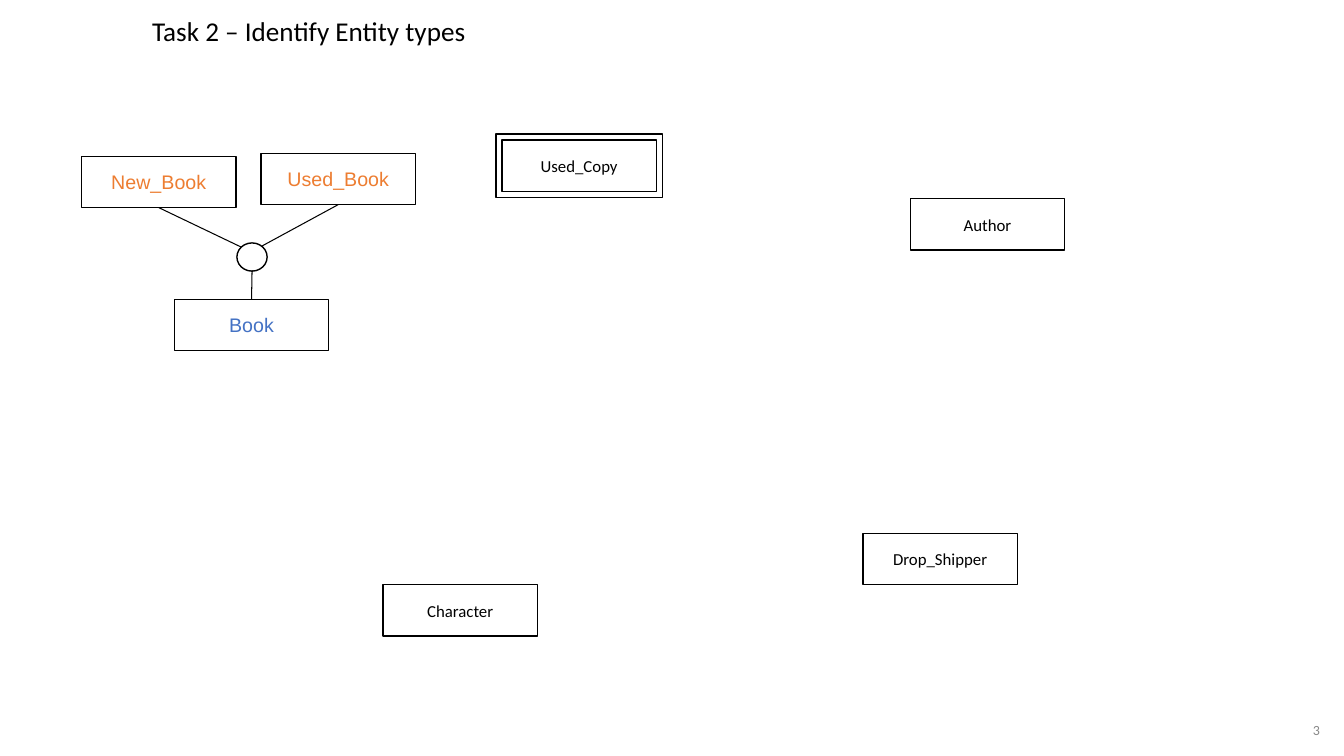
from dataclasses import dataclass

from lxml.etree import SubElement
from pptx import Presentation
from pptx.dml.color import RGBColor as RGB
from pptx.enum.shapes import MSO_CONNECTOR as LINK, MSO_SHAPE as SHAPE
from pptx.enum.text import MSO_ANCHOR as ANCHOR, PP_ALIGN as ALIGN
from pptx.oxml.ns import qn
from pptx.util import Inches, Pt


@dataclass(frozen=True)
class Theme:
    ink: RGB = RGB(0, 0, 0)
    paper: RGB = RGB(255, 255, 255)
    blue: RGB = RGB(0x44, 0x72, 0xC4)
    orange: RGB = RGB(0xED, 0x7D, 0x31)
    gray: RGB = RGB(0x88, 0x88, 0x88)
    body: str = "Calibri"
    sans: str = "Arial"
    title: float = 19.4
    large: float = 14
    small: float = 12
    note: float = 10
    edge: float = 1
    wire: float = 0.75


T = Theme()
WIDE, HIGH = 1.53, 0.51
RIM = 0.06


def write(shape, text, size, color, face=T.body, align=ALIGN.CENTER):
    frame = shape.text_frame
    frame.word_wrap = True
    frame.vertical_anchor = ANCHOR.MIDDLE
    para = frame.paragraphs[0]
    para.text = text
    para.alignment = align
    para.font.size = Pt(size)
    para.font.name = face
    para.font.color.rgb = color
    return para


def label(slide, text, spot, size, color, align):
    box = slide.shapes.add_textbox(*map(Inches, spot))
    return write(box, text, size, color, align=align)


def outline(shapes, kind, x, y, w, h):
    shape = shapes.add_shape(kind, *map(Inches, (x, y, w, h)))
    shape.shadow.inherit = False
    shape.fill.solid()
    shape.fill.fore_color.rgb = T.paper
    shape.line.color.rgb = T.ink
    shape.line.width = Pt(T.edge)
    return shape


def entity(shapes, text, x, y, size=T.small, color=T.ink, face=T.body):
    box = outline(shapes, SHAPE.RECTANGLE, x, y, WIDE, HIGH)
    write(box, text, size, color, face)
    return box


def weak(slide, text, x, y):
    group = slide.shapes.add_group_shape()
    outline(group.shapes, SHAPE.RECTANGLE, x - RIM, y - RIM,
            WIDE + 2 * RIM, HIGH + 2 * RIM)
    entity(group.shapes, text, x, y)


def join(slide, box, side, x, y):
    end = Inches(x), Inches(y)
    line = slide.shapes.add_connector(LINK.STRAIGHT, *end, *end)
    line.begin_connect(box, side)
    line.line.color.rgb = T.ink
    line.line.width = Pt(T.wire)
    SubElement(line._element.spPr, qn("a:effectLst"))


def family(slide):
    book = entity(slide.shapes, "Book", 1.73, 2.97, T.large, T.blue, T.sans)
    fresh = entity(slide.shapes, "New_Book", 0.81, 1.55,
                   T.large, T.orange, T.sans)
    used = entity(slide.shapes, "Used_Book", 2.59, 1.52,
                  T.large, T.orange, T.sans)
    outline(slide.shapes, SHAPE.OVAL, 2.35, 2.41, 0.3, 0.28)
    join(slide, book, 0, 2.5, 2.68)
    join(slide, fresh, 2, 2.39, 2.45)
    join(slide, used, 2, 2.6, 2.44)


def main():
    deck = Presentation()
    deck.slide_width, deck.slide_height = Inches(13.33), Inches(7.5)
    slide = deck.slides.add_slide(deck.slide_layouts[6])
    title = label(slide, "Task 2 – Identify Entity types",
                  (1.41, 0.14, 11.79, 0.36), T.title, T.ink, ALIGN.LEFT)
    title.line_spacing = 0.9
    family(slide)
    weak(slide, "Used_Copy", 4.98, 1.39)
    for text, x, y in (("Author", 9.03, 1.97),
                       ("Character", 3.8, 5.8),
                       ("Drop_Shipper", 8.56, 5.29)):
        entity(slide.shapes, text, x, y)
    label(slide, "3", (10.19, 7.12, 3, 0.24), T.note, T.gray, ALIGN.RIGHT)
    deck.save("out.pptx")


if __name__ == "__main__":
    main()
